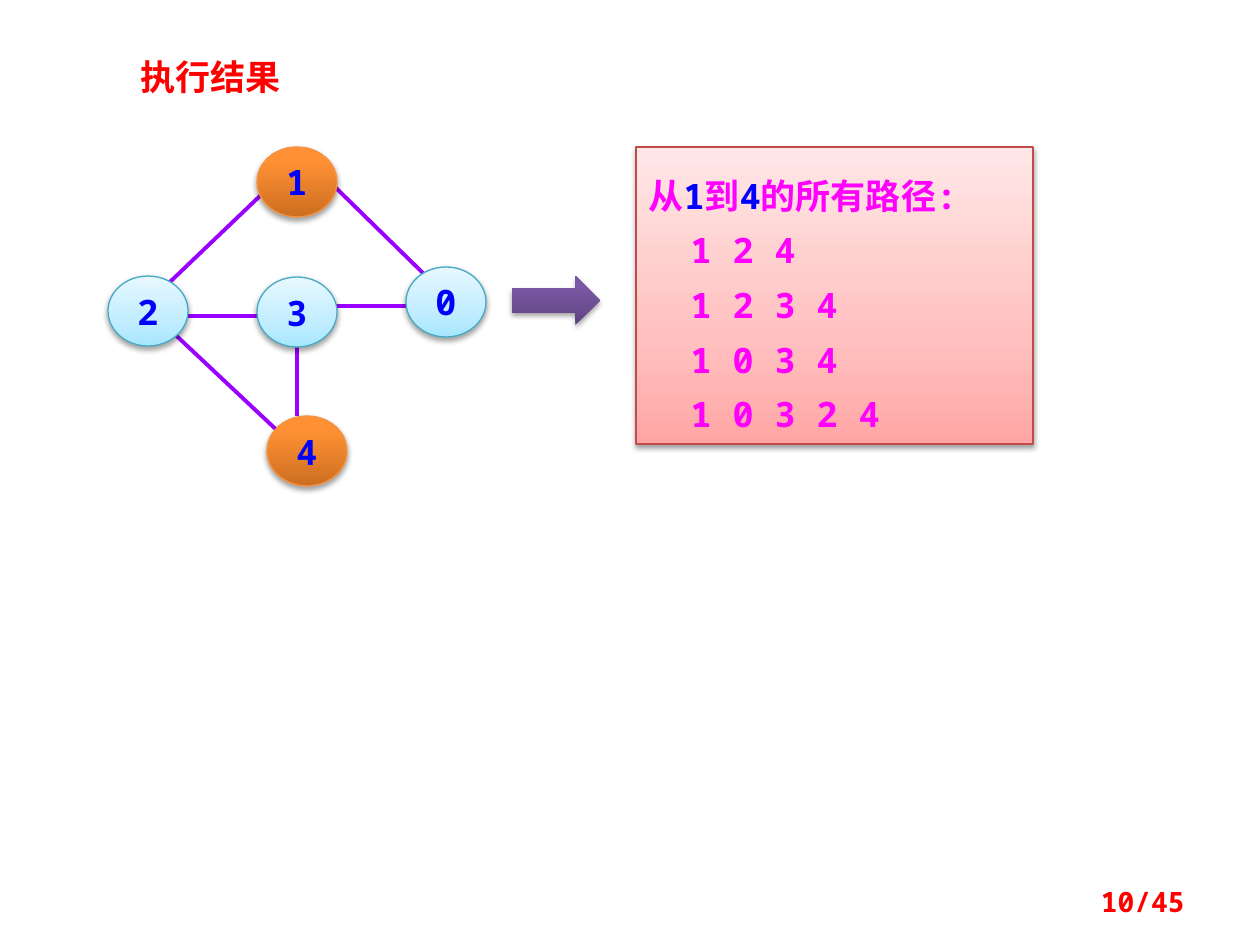
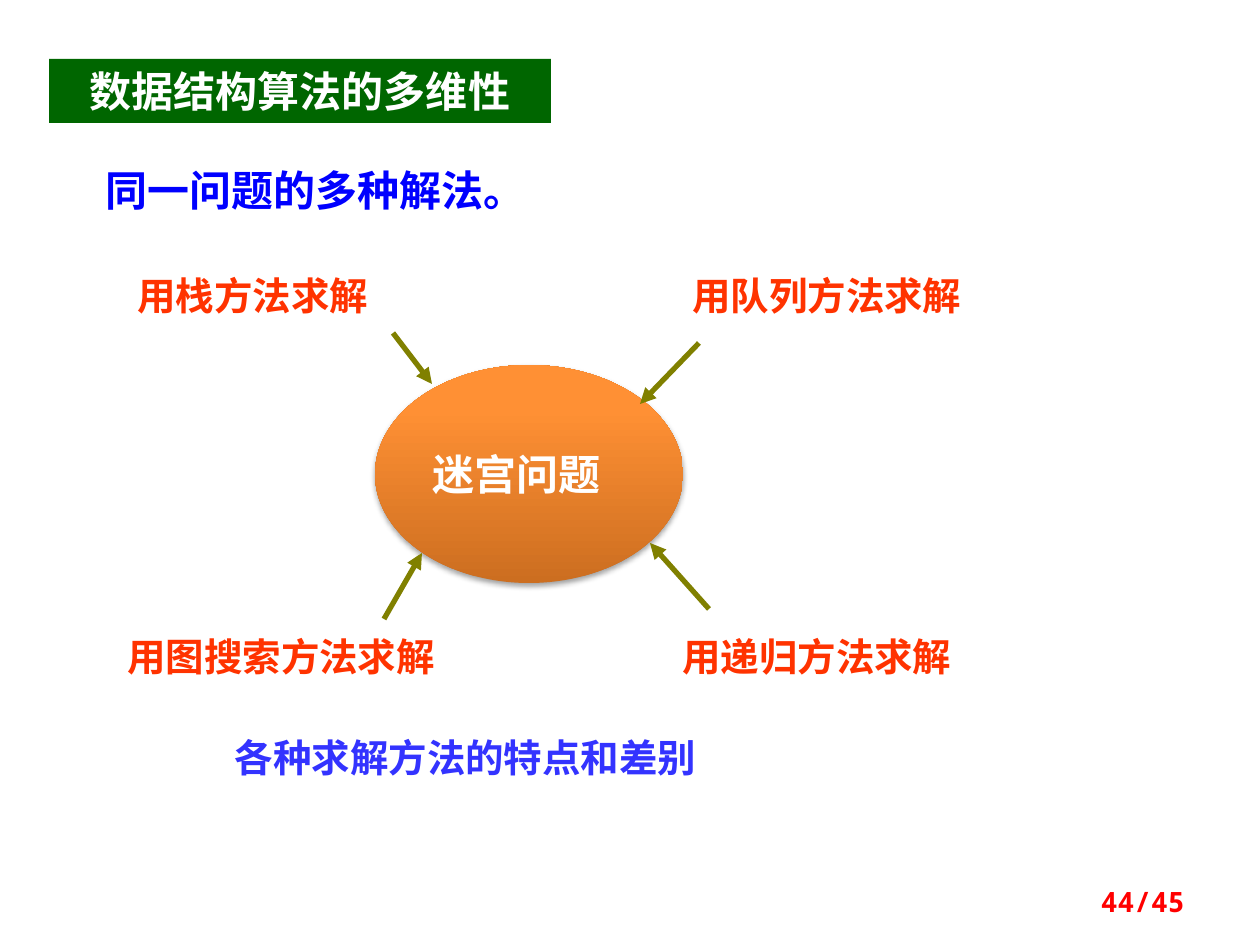
from dataclasses import dataclass

from lxml import etree
from pptx import Presentation
from pptx import util as u
from pptx.dml.color import RGBColor
from pptx.enum import shapes, text
from pptx.oxml.ns import qn

PX = 914400 / 126  # EMU in one px


@dataclass(frozen=True)
class Theme:
    cjk: str = "Noto Sans CJK SC"
    mono: str = "Noto Sans Mono"
    serif: str = "Times New Roman"
    red: str = "FF0000"
    blue: str = "0000FF"
    magenta: str = "FF00FF"
    white: str = "FFFFFF"
    band: str = "006600"
    method: str = "FF3300"
    summary: str = "3333FF"
    edge: str = "9900FF"
    arrow: str = "808000"
    orange_line: str = "F69240"
    aqua_line: str = "46AAC5"
    rose_line: str = "BF4C48"
    orange: tuple = ((0, "CC6E20"), (80, "FF9034"), (100, "FF9136"))
    aqua: tuple = ((0, "A7E6FF"), (35, "C1EDFF"), (100, "E7F8FF"))
    rose: tuple = ((0, "FFA6A5"), (35, "FFC0BF"), (100, "FFE7E7"))
    purple: tuple = ((0, "5F4480"), (80, "7B58A6"), (100, "7C57A8"))
    heading: int = 24
    label: int = 22
    body: int = 20
    page: int = 16


T = Theme()


def write(shape, content, size=T.body, font=T.cjk, color=T.blue, align="LEFT",
          anchor="TOP", wrap=True, spacing=1.0, indent=0, add=False):
    """Write one paragraph; content is a string or a list of (string, colour)."""
    frame = shape.text_frame
    frame.auto_size = text.MSO_AUTO_SIZE.NONE
    frame.word_wrap = wrap
    frame.vertical_anchor = text.MSO_ANCHOR[anchor]
    paragraph = frame.add_paragraph() if add else frame.paragraphs[0]
    properties = paragraph._p.get_or_add_pPr()
    properties.set("marL", str(round(indent * PX)))
    properties.set("indent", "0")
    etree.SubElement(properties, qn("a:buNone"))
    paragraph.alignment = text.PP_ALIGN[align]
    paragraph.line_spacing = spacing
    paragraph.space_before = u.Pt(0)
    pieces = [(content, color)] if isinstance(content, str) else content
    for piece, piece_color in pieces:
        run = paragraph.add_run()
        run.text = piece
        run.font.size = u.Pt(size)
        run.font.bold = True
        run.font.color.rgb = RGBColor.from_string(piece_color)
        run.font.name = font
        etree.SubElement(run._r.rPr, qn("a:ea"), typeface=T.cjk)


def paint(shape, line=None, width=0.75, gradient=None, arrow=False):
    """Set outline, gradient with its soft shadow, and arrowhead."""
    properties = shape._element.spPr
    if gradient:
        shape.fill.gradient()
        shape.fill.gradient_angle = 90
        stops = properties.find(qn("a:gradFill")).find(qn("a:gsLst"))
        stops.clear()
        for percent, color in gradient:
            stop = etree.SubElement(stops, qn("a:gs"), pos=str(percent * 1000))
            etree.SubElement(stop, qn("a:srgbClr"), val=color)
    if line:
        shape.line.color.rgb = RGBColor.from_string(line)
        shape.line.width = u.Pt(width)
    else:
        shape.line.fill.background()
    if arrow:
        etree.SubElement(properties.find(qn("a:ln")), qn("a:tailEnd"), type="triangle")
    effects = etree.SubElement(properties, qn("a:effectLst"))
    if gradient:
        shadow = etree.SubElement(effects, qn("a:outerShdw"), blurRad="40000",
                                  dist="22000", dir="5400000", rotWithShape="0")
        black = etree.SubElement(shadow, qn("a:srgbClr"), val="000000")
        etree.SubElement(black, qn("a:alpha"), val="36000")


deck = Presentation()
deck.slide_width, deck.slide_height = round(1260 * PX), round(945 * PX)
result_slide = deck.slides.add_slide(deck.slide_layouts[1])
methods_slide = deck.slides.add_slide(deck.slide_layouts[5])

# Titles and page numbers
for slide, title, box, look, page in (
    (result_slide, "执行结果", (128, 49, 315, 55),
     dict(color=T.red), "10/45"),
    (methods_slide, "数据结构算法的多维性", (49, 59, 502, 64),
     dict(color=T.white, size=T.heading, align="CENTER"), "44/45"),
):
    heading = slide.shapes.title
    heading.left, heading.top, heading.width, heading.height = (round(v * PX) for v in box)
    write(heading, title, **look)
    number = slide.shapes.add_textbox(*(round(v * PX) for v in (903, 876, 294, 50)))
    write(number, page, size=T.page, font=T.mono, color=T.red, align="RIGHT", anchor="MIDDLE")

band = methods_slide.shapes.title
band.fill.solid()
band.fill.fore_color.rgb = RGBColor.from_string(T.band)

# Graph edges, then vertices
for ends in (
    (336, 188, 426, 276),
    (166, 326, 282, 435),
    (261, 195, 170, 282),
    (188, 316, 267, 316),
    (297, 347, 297, 416),
    (336, 306, 416, 306),
):
    edge = result_slide.shapes.add_connector(
        shapes.MSO_CONNECTOR.STRAIGHT, *(round(v * PX) for v in ends))
    paint(edge, T.edge, 2.25)

for name, left, top in (("1", 257, 147), ("3", 257, 277), ("2", 108, 276),
                        ("4", 267, 416), ("0", 406, 267)):
    vertex = result_slide.shapes.add_shape(
        shapes.MSO_SHAPE.OVAL, *(round(v * PX) for v in (left, top, 80, 70)))
    if name in "14":
        paint(vertex, T.orange_line, gradient=T.orange)
    else:
        paint(vertex, T.aqua_line, gradient=T.aqua)
    write(vertex, name, font=T.mono, align="CENTER", anchor="MIDDLE", wrap=False)

# All paths found
leads_to = result_slide.shapes.add_shape(
    shapes.MSO_SHAPE.RIGHT_ARROW, *(round(v * PX) for v in (512, 276, 88, 49)))
paint(leads_to, gradient=T.purple)

paths = result_slide.placeholders[1]
paths.left, paths.top, paths.width, paths.height = (
    round(v * PX) for v in (636, 147, 397, 297))
paint(paths, T.rose_line, gradient=T.rose)
write(paths, [("从", T.magenta), ("1", T.blue), ("到", T.magenta), ("4", T.blue),
              ("的所有路径:", T.magenta)], font=T.mono, spacing=1.5)
for route in ("1 2 4", "1 2 3 4", "1 0 3 4", "1 0 3 2 4"):
    write(paths, route, font=T.mono, color=T.magenta, spacing=1.3, indent=42, add=True)

# Maze problem in the middle
maze = methods_slide.shapes.add_shape(
    shapes.MSO_SHAPE.OVAL, *(round(v * PX) for v in (375, 365, 308, 218)))
paint(maze, gradient=T.orange)
write(maze, "迷宫问题", size=T.heading, color=T.white, anchor="MIDDLE", wrap=False)

# Solution methods around it, with the lines above and below
for caption, box, look in (
    ("同一问题的多种解法。", (78, 158, 433, 63),
     dict(size=T.heading, font=T.serif, align="CENTER")),
    ("用栈方法求解", (125, 266, 367, 59), dict(color=T.method)),
    ("用队列方法求解", (680, 266, 377, 59), dict(color=T.method)),
    ("用图搜索方法求解", (115, 627, 397, 59), dict(color=T.method)),
    ("用递归方法求解", (670, 627, 387, 59), dict(color=T.method)),
    ("各种求解方法的特点和差别", (98, 728, 735, 59),
     dict(color=T.summary, align="CENTER")),
):
    note = methods_slide.shapes.add_textbox(*(round(v * PX) for v in box))
    write(note, caption, **{"size": T.label, **look})

for ends in (
    (393, 333, 432, 384),
    (699, 343, 640, 404),
    (384, 619, 422, 553),
    (709, 609, 650, 543),
):
    pointer = methods_slide.shapes.add_connector(
        shapes.MSO_CONNECTOR.STRAIGHT, *(round(v * PX) for v in ends))
    paint(pointer, T.arrow, 3, arrow=True)

deck.save("out.pptx")
